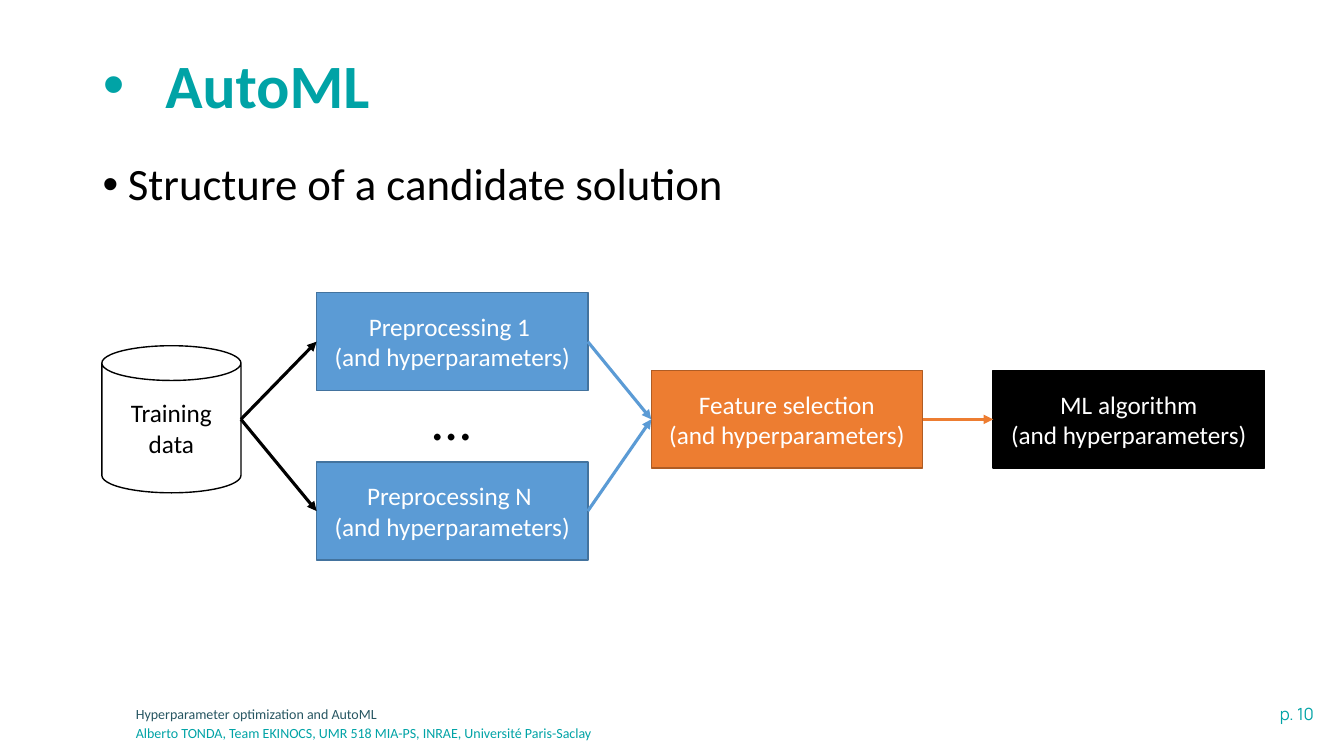
import pptx
import pptx.util
import pptx.dml.color
import pptx.enum.dml
import pptx.enum.shapes
import pptx.enum.text
import pptx.oxml
import pptx.oxml.ns

Inches = pptx.util.Inches
Pt = pptx.util.Pt
RGBColor = pptx.dml.color.RGBColor
Kind = pptx.enum.shapes.MSO_SHAPE
Align = pptx.enum.text.PP_ALIGN
Anchor = pptx.enum.text.MSO_ANCHOR

TEAL = RGBColor(0x00, 0xA3, 0xA6)
PINE = RGBColor(0x27, 0x56, 0x62)
BLUE = RGBColor(0x5B, 0x9B, 0xD5)
NAVY = RGBColor(0x43, 0x73, 0x9E)
ORANGE = RGBColor(0xED, 0x7D, 0x31)
RUST = RGBColor(0xAF, 0x5C, 0x24)
BLACK = RGBColor(0, 0, 0)
WHITE = RGBColor(0xFF, 0xFF, 0xFF)


def add_xml(node, tag, inner=""):
    space = pptx.oxml.ns.nsdecls("a")
    node.append(pptx.oxml.parse_xml(f"<a:{tag} {space} {inner}/>"))


def write(shape, text, color, size, align=Align.LEFT, anchor=Anchor.TOP,
          indent=0, name="Calibri", bold=False):
    frame = shape.text_frame
    frame.text = text
    frame.word_wrap = True
    frame.auto_size = pptx.enum.text.MSO_AUTO_SIZE.NONE
    frame.vertical_anchor = anchor
    para = frame.paragraphs[0]
    para.alignment = align
    if indent:
        para.line_spacing = 0.9
        props = para._p.get_or_add_pPr()
        props.set("marL", str(Inches(indent)))
        props.set("indent", str(-Inches(indent)))
        add_xml(props, "buFont", 'typeface="Arial"')
        add_xml(props, "buChar", 'char="•"')
    look = {"name": name, "size": Pt(size), "bold": bold}
    for key, value in look.items():
        setattr(para.font, key, value)
    para.font.color.rgb = color


deck = pptx.Presentation()
deck.slide_width = Inches(13.33)
deck.slide_height = Inches(7.5)
slide = deck.slides.add_slide(deck.slide_layouts[5])
shapes = slide.shapes

# Title
title = shapes.title
place = {"left": 0.92, "top": 0.4, "width": 11.5, "height": 0.95}
for key, value in place.items():
    setattr(title, key, Inches(value))
write(title, "AutoML", TEAL, 44, anchor=Anchor.MIDDLE, indent=0.62, bold=True)

# Body, ellipsis and footer
texts = [
    ((0.92, 1.56, 11.5, 5.11), "Structure of a candidate solution",
     {"color": BLACK, "size": 32, "indent": 0.25}),
    ((3.61, 3.77, 1.74, 0.77), "…",
     {"color": BLACK, "size": 40, "align": Align.CENTER}),
    ((10.85, 6.93, 2.28, 0.3), "p. 10",
     {"color": TEAL, "size": 12, "align": Align.RIGHT, "name": "Manrope"}),
    ((1.25, 6.95, 7.34, 0.28), "Hyperparameter optimization and AutoML",
     {"color": PINE, "size": 10}),
    ((1.25, 7.14, 7.34, 0.28),
     "Alberto TONDA, Team EKINOCS, UMR 518 MIA-PS, INRAE, Université Paris-Saclay",
     {"color": TEAL, "size": 10}),
]
for spot, text, look in texts:
    write(shapes.add_textbox(*map(Inches, spot)), text, **look)

# Pipeline steps: left edge and row centre on a shared grid
COLS = [1.01, 3.14, 6.46, 9.85]
HIGH, MID, LOW = 3.39, 4.16, 5.07
BOX = (2.69, 0.97)
CAN = (1.38, 1.46)
hyper = "\v(and hyperparameters)"
steps = {
    "data": (0, MID, CAN, Kind.CAN, "Training\vdata", WHITE, BLACK, BLACK),
    "first": (1, HIGH, BOX, Kind.RECTANGLE, "Preprocessing 1 " + hyper,
              BLUE, NAVY, WHITE),
    "last": (1, LOW, BOX, Kind.RECTANGLE, "Preprocessing N " + hyper,
             BLUE, NAVY, WHITE),
    "select": (2, MID, BOX, Kind.RECTANGLE, "Feature selection" + hyper,
               ORANGE, RUST, WHITE),
    "model": (3, MID, BOX, Kind.RECTANGLE, "ML algorithm" + hyper,
              BLACK, BLACK, WHITE),
}
nodes = {}
for key, (col, row, (wide, tall), kind, text, fill, edge, ink) in steps.items():
    spot = (COLS[col], row - tall / 2, wide, tall)
    node = shapes.add_shape(kind, *map(Inches, spot))
    node.shadow.inherit = False
    node.fill.solid()
    node.fill.fore_color.rgb = fill
    node.line.color.rgb = edge
    node.line.width = Pt(1)
    write(node, text, ink, 18, Align.CENTER, Anchor.MIDDLE)
    nodes[key] = node

# Arrows from right edge to left edge
links = [
    ("data", "first", BLACK), ("data", "last", BLACK),
    ("first", "select", BLUE), ("last", "select", BLUE),
    ("select", "model", ORANGE),
]
for start, end, color in links:
    tail, head = nodes[start], nodes[end]
    arrow = shapes.add_connector(
        pptx.enum.shapes.MSO_CONNECTOR.STRAIGHT,
        tail.left + tail.width, tail.top + tail.height // 2,
        head.left, head.top + head.height // 2)
    if start != "data":
        arrow.begin_connect(tail, 3)
    arrow.end_connect(head, 1)
    arrow.line.color.rgb = color
    arrow.line.width = Pt(2.25)
    add_xml(arrow.line._get_or_add_ln(), "tailEnd", 'type="triangle"')
    add_xml(arrow._element.spPr, "effectLst")

deck.save("out.pptx")
